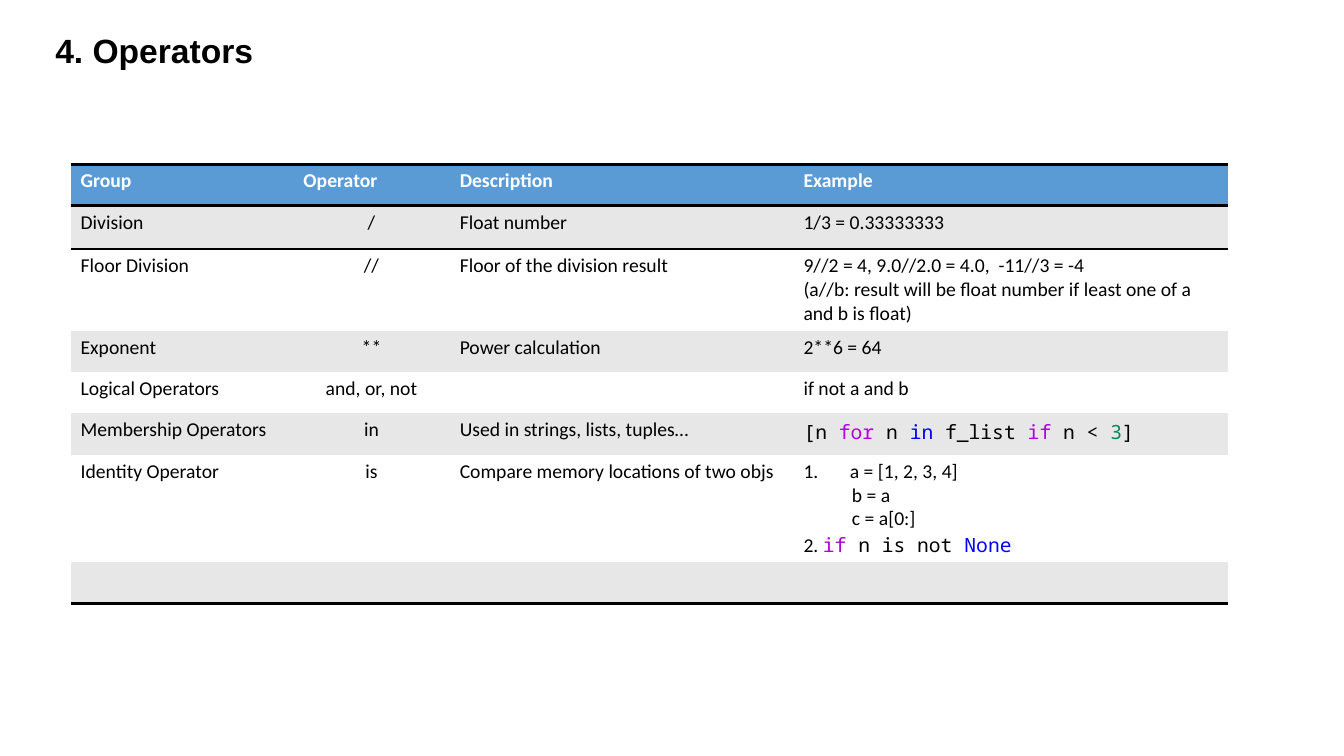
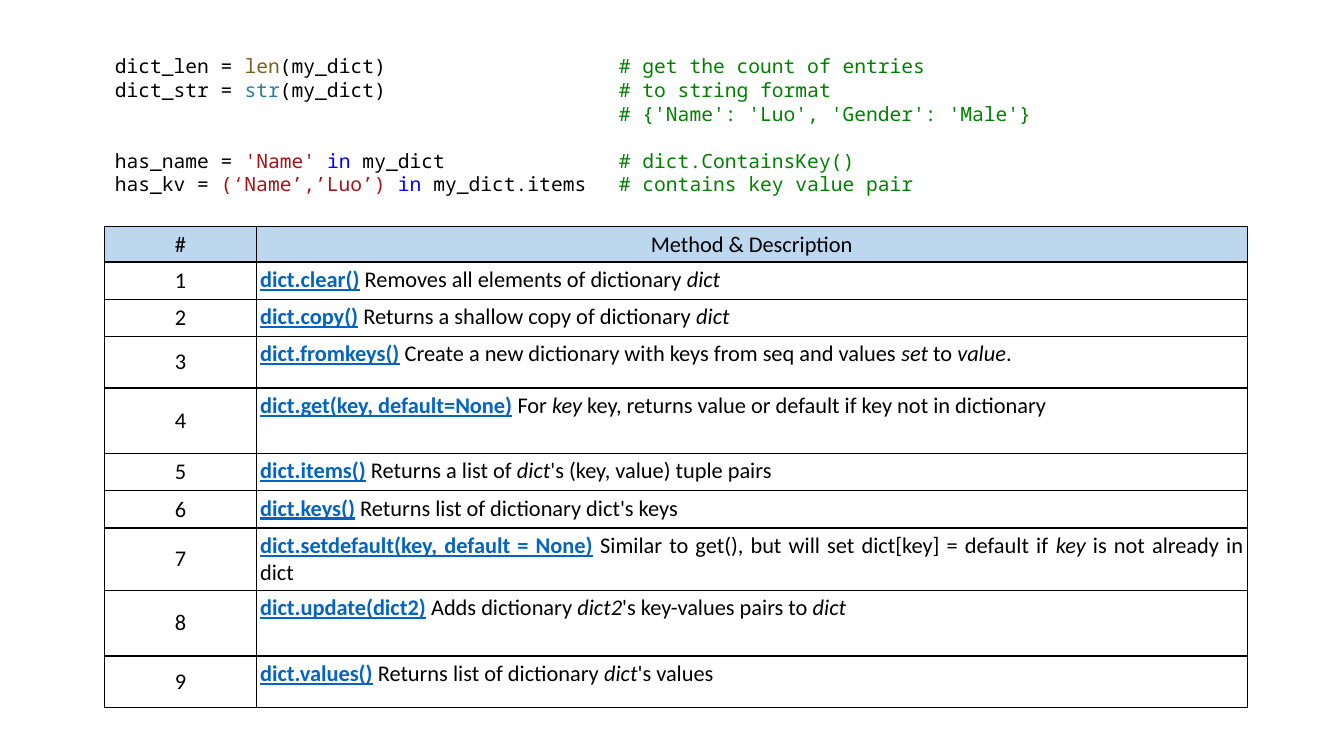
from dataclasses import dataclass

from lxml.etree import SubElement
from pptx import Presentation
from pptx.dml.color import RGBColor
from pptx.enum.text import MSO_ANCHOR, MSO_AUTO_SIZE, PP_ALIGN
from pptx.oxml.ns import qn
from pptx.util import Inches, Pt

BODY, CODE, HEADING = "Calibri", "Noto Sans Mono", "Arial"
BLACK, WHITE = "000000", "FFFFFF"
HEADER_BLUE, BAND_GRAY, PALE_BLUE, LINK = "5B9BD5", "E7E7E7", "BDD7EE", "0563C1"
PURPLE, BLUE, NUMBER = "AF00DB", "0000FF", "09885A"
FUNCTION, TYPE, STRING, COMMENT = "795E26", "267F99", "A31515", "008000"
NO_STYLE = "{2D5ABB26-0587-4C30-8999-92F81FD0307C}"


@dataclass(frozen=True)
class Run:
    """A piece of text in one style."""
    text: str
    color: str = BLACK
    font: str = BODY
    bold: bool = False
    italic: bool = False
    underline: bool = False


@dataclass(frozen=True)
class Para:
    """A paragraph; left and tab are inches, before is points."""
    runs: list[Run]
    align: PP_ALIGN = PP_ALIGN.LEFT
    left: float = 0
    tab: float = 0
    before: float = 0
    spacing: float = 1


@dataclass(frozen=True)
class Cell:
    """The content and look of one table cell."""
    paras: list[Para]
    fill: str = ""
    borders: str = ""
    anchor: MSO_ANCHOR = MSO_ANCHOR.TOP


@dataclass(frozen=True)
class TableLook:
    """The place and measures shared by the cells of a table."""
    left: float
    top: float
    cols: list[float]
    rows: list[float]
    size: float
    line: float
    inset_x: float
    inset_y: float


def rgb(color: str) -> RGBColor:
    """Turn a hex string into a colour."""
    return RGBColor.from_string(color)


def plain(text: str, align: PP_ALIGN = PP_ALIGN.LEFT, **style) -> Para:
    """Make a paragraph of one run."""
    return Para([Run(text, **style)], align)


def code(*parts: tuple[str, str]) -> list[Run]:
    """Make monospaced runs from text and colour pairs."""
    return [Run(text, color, CODE) for text, color in parts]


def write(tf, paras: list[Para], size: float) -> None:
    """Fill a text frame with styled paragraphs."""
    for i, para in enumerate(paras):
        p = tf.add_paragraph() if i else tf.paragraphs[0]
        p.alignment = para.align
        p.line_spacing = para.spacing
        p.space_before = Pt(para.before)
        pPr = p._p.get_or_add_pPr()
        if para.left:
            pPr.set("marL", str(Inches(para.left)))
        if para.tab:
            tabs = SubElement(pPr, qn("a:tabLst"))
            SubElement(tabs, qn("a:tab"), pos=str(Inches(para.tab)), algn="l")
        for run in para.runs:
            r = p.add_run()
            r.text = run.text
            font = r.font
            font.size, font.name = Pt(size), run.font
            font.bold, font.italic, font.underline = run.bold, run.italic, run.underline
            font.color.rgb = rgb(run.color)


def add_text(s, box: tuple[float, ...], paras: list[Para], size: float):
    """Add a wrapping text box and return its text frame."""
    tf = s.shapes.add_textbox(*map(Inches, box)).text_frame
    tf.word_wrap = True
    write(tf, paras, size)
    return tf


def add_border(cell, sides: str, width: float) -> None:
    """Draw black lines on the named sides of a cell."""
    tcPr = cell._tc.get_or_add_tcPr()
    for side in sides:
        line = SubElement(tcPr, qn(f"a:ln{side}"), w=str(Pt(width)))
        fill = SubElement(line, qn("a:solidFill"))
        SubElement(fill, qn("a:srgbClr"), val=BLACK)


def add_table(s, look: TableLook, grid: list[list[Cell]]) -> None:
    """Add a table of styled cells."""
    frame = s.shapes.add_table(
        len(look.rows), len(look.cols), Inches(look.left), Inches(look.top),
        Inches(sum(look.cols)), Inches(sum(look.rows)))
    for style_id in frame.element.iter(qn("a:tableStyleId")):
        style_id.text = NO_STYLE
    table = frame.table
    for column, width in zip(table.columns, look.cols):
        column.width = Inches(width)
    for i, (height, cells) in enumerate(zip(look.rows, grid)):
        table.rows[i].height = Inches(height)
        for j, content in enumerate(cells):
            cell = table.cell(i, j)
            cell.margin_left = cell.margin_right = Inches(look.inset_x)
            cell.margin_top = cell.margin_bottom = Inches(look.inset_y)
            cell.vertical_anchor = content.anchor
            add_border(cell, content.borders, look.line)
            if content.fill:
                cell.fill.solid()
                cell.fill.fore_color.rgb = rgb(content.fill)
            else:
                cell.fill.background()
            write(cell.text_frame, content.paras, look.size)


OPERATORS = [
    ("Division", "/", "Float number", [plain("1/3 = 0.33333333")]),
    ("Floor Division", "//", "Floor of the division result", [
        plain("9//2 = 4, 9.0//2.0 = 4.0,  -11//3 = -4"),
        plain("(a//b: result will be float number if least one of a and b is float)")]),
    ("Exponent", "**", "Power calculation", [plain("2**6 = 64")]),
    ("Logical Operators", "and, or, not", "", [plain("if not a and b")]),
    ("Membership Operators", "in", "Used in strings, lists, tuples…", [
        Para(code(("[n ", BLACK), ("for", PURPLE), (" n ", BLACK), ("in ", BLUE),
                  ("f_list ", BLACK), ("if", PURPLE), (" n < ", BLACK),
                  ("3", NUMBER), ("]", BLACK)))]),
    ("Identity Operator", "is", "Compare memory locations of two objs", [
        Para([Run("1.\ta = [1, 2, 3, 4]")], tab=0.46),
        Para([Run("b = a")], left=0.48),
        Para([Run("c = a[0:]")], left=0.48),
        Para([Run("2. "), *code(("if", PURPLE), (" n is not ", BLACK), ("None", BLUE))])]),
    ("", "", "", []),
]

# Asterisks enclose italic words.
METHODS = [
    ("dict.clear()", "Removes all elements of dictionary *dict*"),
    ("dict.copy()", "Returns a shallow copy of dictionary *dict*"),
    ("dict.fromkeys()",
     "Create a new dictionary with keys from seq and values *set* to *value*."),
    ("dict.get(key, default=None)",
     "For *key *key, returns value or default if key not in dictionary"),
    ("dict.items()", "Returns a list of *dict*'s (key, value) tuple pairs"),
    ("dict.keys()", "Returns list of dictionary dict's keys"),
    ("dict.setdefault(key, default = None)",
     "Similar to get(), but will set dict[key] = default if *key* is not already in dict"),
    ("dict.update(dict2)", "Adds dictionary *dict2*'s key-values pairs to *dict*"),
    ("dict.values()", "Returns list of dictionary *dict*'s values"),
]

# Each line: code parts, comment, points of space before.
SNIPPET = [
    ([("dict_len = ", BLACK), ("len", FUNCTION), ("(my_dict)", BLACK)],
     "# get the count of entries", 0),
    ([("dict_str = ", BLACK), ("str", TYPE), ("(my_dict)", BLACK)],
     "# to string format", 0),
    ([], "# {'Name': 'Luo', 'Gender': 'Male'}", 0),
    ([("has_name = ", BLACK), ("'Name' ", STRING), ("in ", BLUE), ("my_dict", BLACK)],
     "# dict.ContainsKey()", 16.8),
    ([("has_kv = ", BLACK), ("(‘Name’,’Luo’) ", STRING), ("in ", BLUE),
      ("my_dict.items", BLACK)], "# contains key value pair", 0),
]


def operator_grid() -> list[list[Cell]]:
    """Lay out the operators in banded rows."""
    heads = ("Group", "Operator", "Description", "Example")
    grid = [[Cell([plain(head, color=WHITE, bold=True)], HEADER_BLUE, "TB")
             for head in heads]]
    for i, (group, operator, description, example) in enumerate(OPERATORS):
        fill = WHITE if i % 2 else BAND_GRAY
        borders = "B" if i == len(OPERATORS) - 1 else "T" if i == 0 else ""
        texts = ([plain(group)], [plain(operator, PP_ALIGN.CENTER)],
                 [plain(description)], example)
        grid.append([Cell(paras, fill, borders) for paras in texts])
    return grid


def method_grid() -> list[list[Cell]]:
    """Lay out the numbered dictionary methods."""
    grid = [[Cell([plain(head, PP_ALIGN.CENTER)], PALE_BLUE, "LRTB")
             for head in ("#", "Method & Description")]]
    for number, (name, description) in enumerate(METHODS, 1):
        runs = [Run(name, LINK, bold=True, underline=True)]
        runs += [Run(part, italic=i % 2 == 1)
                 for i, part in enumerate(f" {description}".split("*")) if part]
        grid.append([
            Cell([plain(str(number), PP_ALIGN.CENTER)], borders="LRTB",
                 anchor=MSO_ANCHOR.MIDDLE),
            Cell([Para(runs, PP_ALIGN.JUSTIFY)], borders="LRTB")])
    return grid


def operators_slide(prs) -> None:
    """Build the slide of operators."""
    s = prs.slides.add_slide(prs.slide_layouts[6])
    title = Para([Run("4. Operators", font=HEADING, bold=True)], spacing=0.9)
    tf = add_text(s, (0.45, 0.2, 6, 0.65), [title], 24)
    tf.vertical_anchor = MSO_ANCHOR.MIDDLE
    add_table(s, TableLook(
        0.7, 1.63, [2.21, 1.55, 3.41, 4.31],
        [0.41, 0.43, 0.81, 0.41, 0.41, 0.41, 1.07, 0.41], 14, 2, 0.1, 0.05),
        operator_grid())


def dictionary_slide(prs) -> None:
    """Build the slide of dictionary methods."""
    s = prs.slides.add_slide(prs.slide_layouts[6])
    add_table(s, TableLook(
        1.04, 2.25, [1.5, 9.83],
        [0.35, 0.37, 0.37, 0.51, 0.65, 0.37, 0.37, 0.62, 0.65, 0.51],
        16, 1, 0.04, 0.04), method_grid())
    lines = [Para(code(*parts, ("\t" + comment, COMMENT)), tab=5, before=before)
             for parts, comment, before in SNIPPET]
    tf = add_text(s, (1.04, 0.49, 9.84, 1.51), lines, 14)
    tf.auto_size = MSO_AUTO_SIZE.SHAPE_TO_FIT_TEXT


def main() -> None:
    """Build and save the presentation."""
    prs = Presentation()
    prs.slide_width, prs.slide_height = Inches(13.33), Inches(7.5)
    operators_slide(prs)
    dictionary_slide(prs)
    prs.save("out.pptx")


main()
